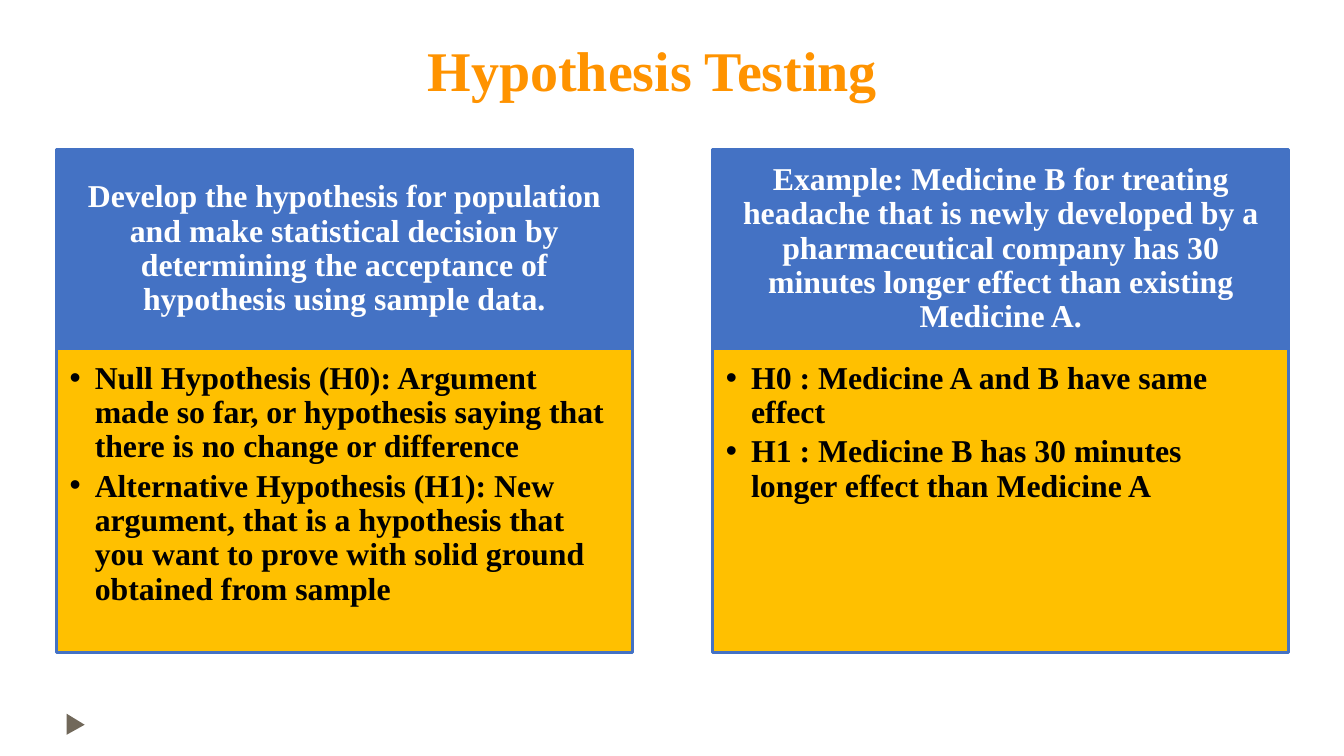
from lxml.etree import SubElement
from pptx import Presentation
from pptx.dml.color import RGBColor
from pptx.enum.text import MSO_ANCHOR as Anchor, MSO_AUTO_SIZE as Fit, PP_ALIGN as Align
from pptx.oxml.ns import qn
from pptx.util import Inches, Pt

ORANGE = RGBColor(0xFF, 0x93, 0x00)
BLUE = RGBColor(0x44, 0x72, 0xC4)
GOLD = RGBColor(0xFF, 0xC0, 0x00)
WHITE = RGBColor(0xFF, 0xFF, 0xFF)
BLACK = RGBColor(0x00, 0x00, 0x00)
BROWN = RGBColor(0x71, 0x68, 0x5A)

FONT = "Times New Roman"
LEFT, STEP, WIDTH = 0.56, 6.51, 5.71
HEAD_TOP, HEAD_H = 1.48, 1.98
LIST_TOP, LIST_H = HEAD_TOP + HEAD_H, 3.01

COLUMNS = [
    ("Develop the hypothesis for population and make statistical decision by "
     "determining the acceptance of hypothesis using sample data.",
     ["Null Hypothesis (H0): Argument made so far, or hypothesis saying that "
      "there is no change or difference",
      "Alternative Hypothesis (H1): New argument, that is a hypothesis that "
      "you want to prove with solid ground obtained from sample"]),
    ("Example: Medicine B for treating headache that is newly developed by a "
     "pharmaceutical company has 30 minutes longer effect than existing Medicine A.",
     ["H0 : Medicine A and B have same effect",
      "H1 : Medicine B has 30 minutes longer effect than Medicine A"]),
]


def place(shape, left, top, width, height, insets, anchor):
    """Move a placeholder and set up its text frame."""
    shape.left, shape.top = Inches(left), Inches(top)
    shape.width, shape.height = Inches(width), Inches(height)
    frame = shape.text_frame
    frame.word_wrap = True
    frame.auto_size = Fit.NONE
    frame.vertical_anchor = anchor
    (frame.margin_left, frame.margin_top,
     frame.margin_right, frame.margin_bottom) = map(Inches, insets)
    return frame


def style(para, size, color):
    for run in para.runs:
        font = run.font
        font.name, font.size, font.bold = FONT, Pt(size), True
        font.color.rgb = color


def paint(shape, color):
    shape.fill.solid()
    shape.fill.fore_color.rgb = color
    shape.line.color.rgb = BLUE
    shape.line.width = Pt(2)


def add_bullet(para):
    props = para._p.get_or_add_pPr()
    props.set("marL", str(Inches(0.25)))
    props.set("indent", str(-Inches(0.25)))
    SubElement(props, qn("a:buChar")).set("char", "•")


def fill_title(shape):
    frame = place(shape, 0.47, -0.09, 12, 1.25, (0.13, 0.38, 0.13, 0.07), Anchor.MIDDLE)
    frame.text = "Hypothesis Testing"
    para = frame.paragraphs[0]
    para.alignment = Align.CENTER
    style(para, 40, ORANGE)


def fill_head(shape, left, text):
    frame = place(shape, left, HEAD_TOP, WIDTH, HEAD_H,
                  (0.18, 0.1, 0.18, 0.1), Anchor.MIDDLE)
    paint(shape, BLUE)
    frame.text = text
    para = frame.paragraphs[0]
    para.alignment = Align.CENTER
    para.line_spacing = 0.9
    para.space_before = Pt(0)
    style(para, 22.7, WHITE)


def fill_list(shape, left, items):
    frame = place(shape, left, LIST_TOP, WIDTH, LIST_H,
                  (0.13, 0.13, 0.25, 0.2), Anchor.TOP)
    paint(shape, GOLD)
    frame.text = "\n".join(items)
    for i, para in enumerate(frame.paragraphs):
        add_bullet(para)
        para.line_spacing = 0.9
        para.space_before = Pt(3.4 if i else 0)
        style(para, 22.7, BLACK)


def add_marker(slide):
    """Draw the small triangle at the bottom left."""
    pen = slide.shapes.build_freeform(Inches(0.66), Inches(7.08))
    pen.add_line_segments([(Inches(0.66), Inches(7.29)), (Inches(0.84), Inches(7.19))])
    mark = pen.convert_to_shape()
    mark.shadow.inherit = False
    mark.fill.solid()
    mark.fill.fore_color.rgb = BROWN
    mark.line.fill.background()


def main():
    deck = Presentation()
    deck.slide_width, deck.slide_height = Inches(13.33), Inches(7.5)
    slide = deck.slides.add_slide(deck.slide_layouts.get_by_name("Comparison"))
    title, *boxes = slide.placeholders
    fill_title(title)
    for i, (head, items) in enumerate(COLUMNS):
        left = LEFT + i * STEP
        fill_head(boxes[2 * i], left, head)
        fill_list(boxes[2 * i + 1], left, items)
    add_marker(slide)
    deck.save("out.pptx")


if __name__ == "__main__":
    main()
